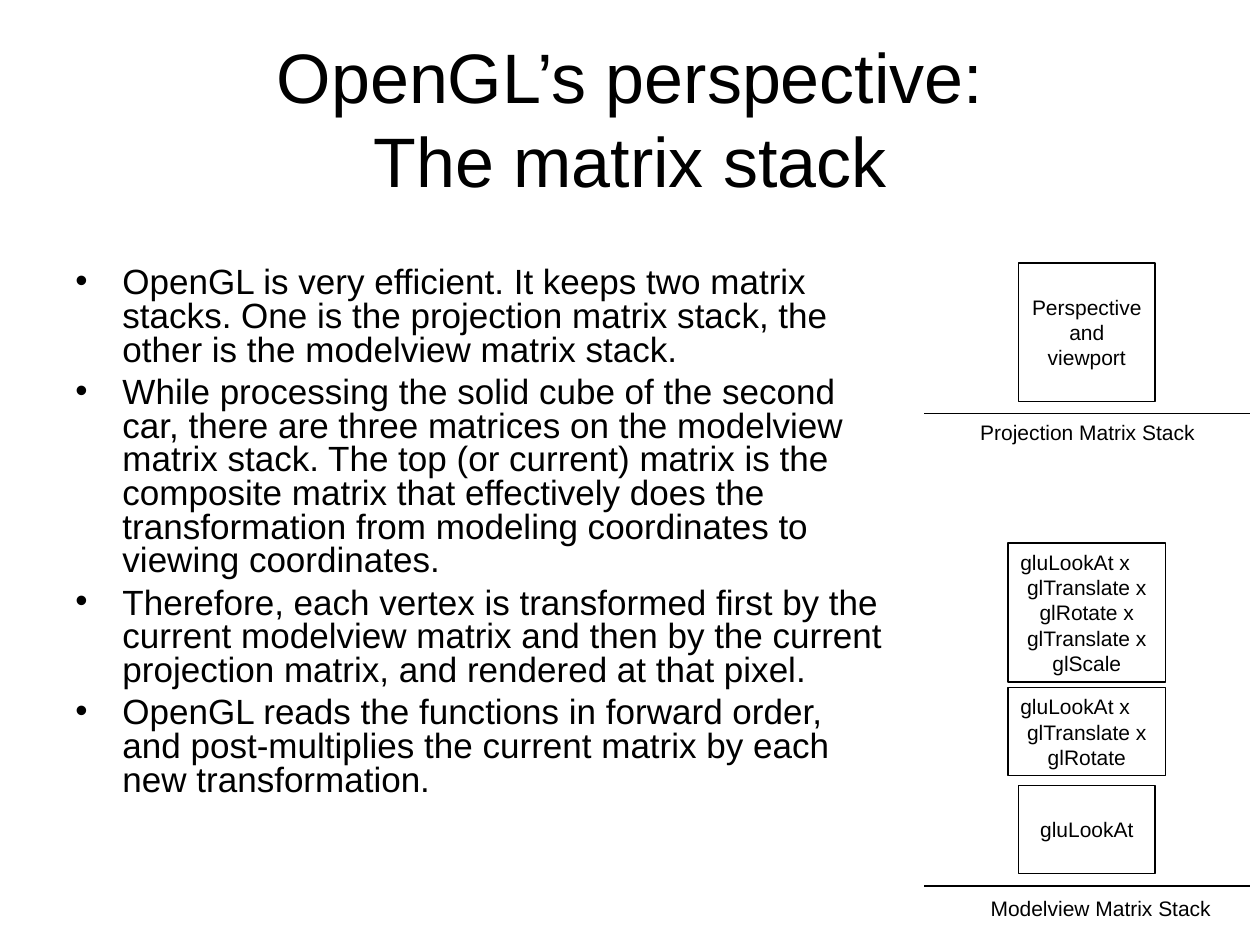
from lxml.etree import SubElement
from pptx import Presentation
from pptx.dml.color import RGBColor
from pptx.enum.shapes import MSO_CONNECTOR, MSO_SHAPE
from pptx.enum.text import MSO_ANCHOR, PP_ALIGN
from pptx.oxml.ns import qn
from pptx.util import Cm, Pt

BLACK = RGBColor(0, 0, 0)
FONT = "Arial"

TITLE = "OpenGL’s perspective:\vThe matrix stack"
BULLETS = [
    "OpenGL is very efficient. It keeps two matrix stacks. One is the projection "
    "matrix stack, the other is the modelview matrix stack.",
    "While processing the solid cube of the second car, there are three matrices on "
    "the modelview matrix stack. The top (or current) matrix is the composite matrix "
    "that effectively does the transformation from modeling coordinates to viewing "
    "coordinates.",
    "Therefore, each vertex is transformed first by the current modelview matrix and "
    "then by the current projection matrix, and rendered at that pixel.",
    "OpenGL reads the functions in forward order, and post-multiplies the current "
    "matrix by each new transformation.",
]
# Matrix lines, top, width, height (cm)
MATRICES = [
    (["Perspective and viewport"], 5.3, 2.75, 2.8),
    (["gluLookAt x", "glTranslate x", "glRotate x", "glTranslate x", "glScale"],
     10.95, 3.18, 2.8),
    (["gluLookAt x", "glTranslate x", "glRotate"], 13.86, 3.18, 1.78),
    (["gluLookAt"], 15.83, 2.75, 1.78),
]
# Caption, left, top, width, base line height on the slide (cm)
STACKS = [
    ("Projection Matrix Stack", 19.51, 8.33, 4.83, 8.33),
    ("Modelview Matrix Stack", 19.72, 17.93, 4.95, 17.86),
]
STACK_CENTER = 21.91
BASE_LEFT, BASE_RIGHT = 18.63, 25.2


def set_text(s, lines, size, align=PP_ALIGN.LEFT, anchor=MSO_ANCHOR.TOP, wrap=True):
    tf = s.text_frame
    tf.text = "\n".join(lines)
    tf.word_wrap = wrap
    tf.vertical_anchor = anchor
    for p in tf.paragraphs:
        p.alignment = align
        for r in p.runs:
            r.font.name = FONT
            r.font.size = Pt(size)
            r.font.color.rgb = BLACK
    return tf


def add_text(slide, box, *args, **kwargs):
    s = slide.shapes.add_textbox(*map(Cm, box))
    return set_text(s, *args, **kwargs)


def add_bullet(p):
    pPr = p._p.get_or_add_pPr()
    pPr.set("marL", str(Cm(0.95)))
    pPr.set("indent", str(-Cm(0.95)))
    SubElement(pPr, qn("a:buFont"), typeface=FONT)
    SubElement(pPr, qn("a:buChar"), char="•")


def add_matrix(slide, lines, top, width, height):
    left = STACK_CENTER - width / 2
    s = slide.shapes.add_shape(MSO_SHAPE.RECTANGLE, *map(Cm, (left, top, width, height)))
    s.shadow.inherit = False
    s.fill.background()
    s.line.color.rgb = BLACK
    s.line.width = Pt(0.75)
    tf = set_text(s, lines, 12, PP_ALIGN.CENTER, MSO_ANCHOR.MIDDLE)
    if len(lines) > 1:
        tf.paragraphs[0].alignment = PP_ALIGN.LEFT


def add_base_line(slide, y):
    line = slide.shapes.add_connector(
        MSO_CONNECTOR.STRAIGHT, Cm(BASE_LEFT), Cm(y), Cm(BASE_RIGHT), Cm(y))
    line.line.color.rgb = BLACK
    line.line.width = Pt(0.75)
    SubElement(line._element.spPr, qn("a:effectLst"))


def main():
    prs = Presentation()
    prs.slide_width, prs.slide_height = Cm(25.4), Cm(19.05)
    slide = prs.slides.add_slide(prs.slide_layouts[6])

    add_text(slide, (1.27, 0.53, 22.86, 3.66), [TITLE], 40,
             PP_ALIGN.CENTER, MSO_ANCHOR.MIDDLE)

    body = add_text(slide, (1.27, 5.28, 16.94, 13.13), BULLETS, 20)
    for i, p in enumerate(body.paragraphs):
        p.line_spacing = 0.8
        p.space_before = Pt(5 if i else 0)
        add_bullet(p)

    for matrix in MATRICES:
        add_matrix(slide, *matrix)
    for caption, left, top, width, base in STACKS:
        add_base_line(slide, base)
        add_text(slide, (left, top, width, 0.76), [caption], 12, wrap=False)

    prs.save("out.pptx")


if __name__ == "__main__":
    main()
